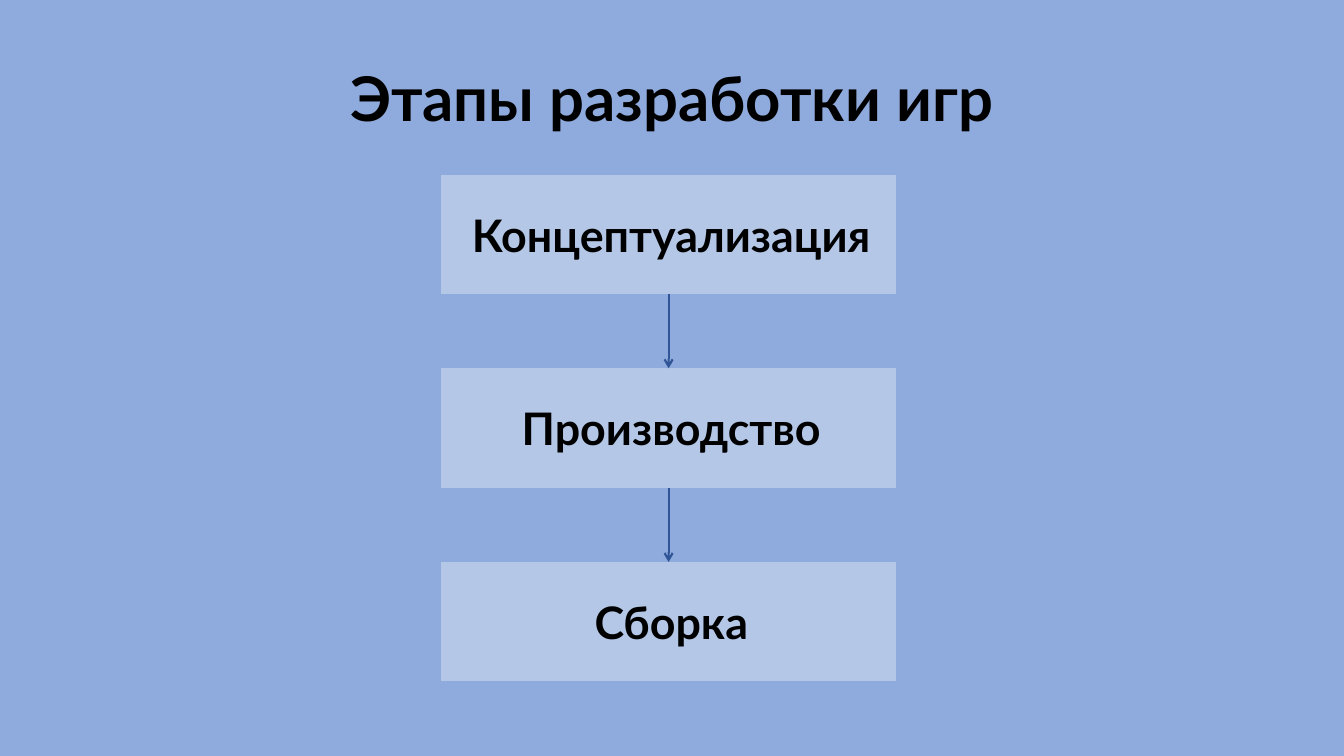
from lxml import etree
from pptx import Presentation
from pptx.dml.color import RGBColor
from pptx.enum.shapes import MSO_CONNECTOR, MSO_SHAPE
from pptx.enum.text import MSO_ANCHOR, PP_ALIGN
from pptx.oxml.ns import qn
from pptx.util import Cm, Pt

COLORS = {"background": "8FAADC", "box": "B4C7E7", "arrow": "2F5597", "text": "000000"}
FONT = "Lato"
STAGES = ["Концептуализация", "Производство", "Сборка"]

# Flow geometry in centimetres
BOX_LEFT, BOX_TOP, BOX_WIDTH, BOX_HEIGHT = 11.12, 4.4, 11.46, 3.01
STEP = 4.88
LABEL_LEFT, LABEL_OFFSET, LABEL_WIDTH, LABEL_HEIGHT = 11.28, 0.69, 11.28, 1.63


def rgb(name):
    return RGBColor.from_string(COLORS[name])


def add_text(s, text, left, top, width, height, size, line_spacing=1.0):
    tf = s.shapes.add_textbox(Cm(left), Cm(top), Cm(width), Cm(height)).text_frame
    tf.word_wrap = True
    tf.vertical_anchor = MSO_ANCHOR.MIDDLE
    p = tf.paragraphs[0]
    p.text = text
    p.alignment = PP_ALIGN.CENTER
    p.line_spacing = line_spacing
    r = p.runs[0]
    r.font.name = FONT
    r.font.size = Pt(size)
    r.font.bold = True
    r.font.color.rgb = rgb("text")


def add_box(s, top):
    sp = s.shapes.add_shape(MSO_SHAPE.FLOWCHART_PROCESS, Cm(BOX_LEFT), Cm(top),
                            Cm(BOX_WIDTH), Cm(BOX_HEIGHT))
    sp.shadow.inherit = False
    sp.fill.solid()
    sp.fill.fore_color.rgb = rgb("box")
    sp.line.fill.background()
    return sp


def add_arrow(s, upper, lower):
    x = upper.left + upper.width // 2
    arrow = s.shapes.add_connector(MSO_CONNECTOR.STRAIGHT, x, upper.top + upper.height,
                                   x, lower.top)
    arrow.line.color.rgb = rgb("arrow")
    arrow.line.width = Pt(1.5)
    # Arrowhead and no shadow
    etree.SubElement(arrow.line._get_or_add_ln(), qn("a:tailEnd"), type="arrow")
    etree.SubElement(arrow._element.spPr, qn("a:effectLst"))


def main():
    prs = Presentation()
    prs.slide_width, prs.slide_height = Cm(33.87), Cm(19.05)
    s = prs.slides.add_slide(prs.slide_layouts[6])
    s.background.fill.solid()
    s.background.fill.fore_color.rgb = rgb("background")

    # Title
    add_text(s, "Этапы разработки игр", 2.33, 0.71, 29.21, 3.68, 44, 0.9)

    # Stages
    tops = [BOX_TOP + i * STEP for i in range(len(STAGES))]
    boxes = [add_box(s, top) for top in tops]
    for stage, top in zip(STAGES, tops):
        add_text(s, stage, LABEL_LEFT, top + LABEL_OFFSET, LABEL_WIDTH, LABEL_HEIGHT, 32)

    # Arrows between neighbouring stages
    for upper, lower in zip(boxes, boxes[1:]):
        add_arrow(s, upper, lower)

    prs.save("out.pptx")


if __name__ == "__main__":
    main()
